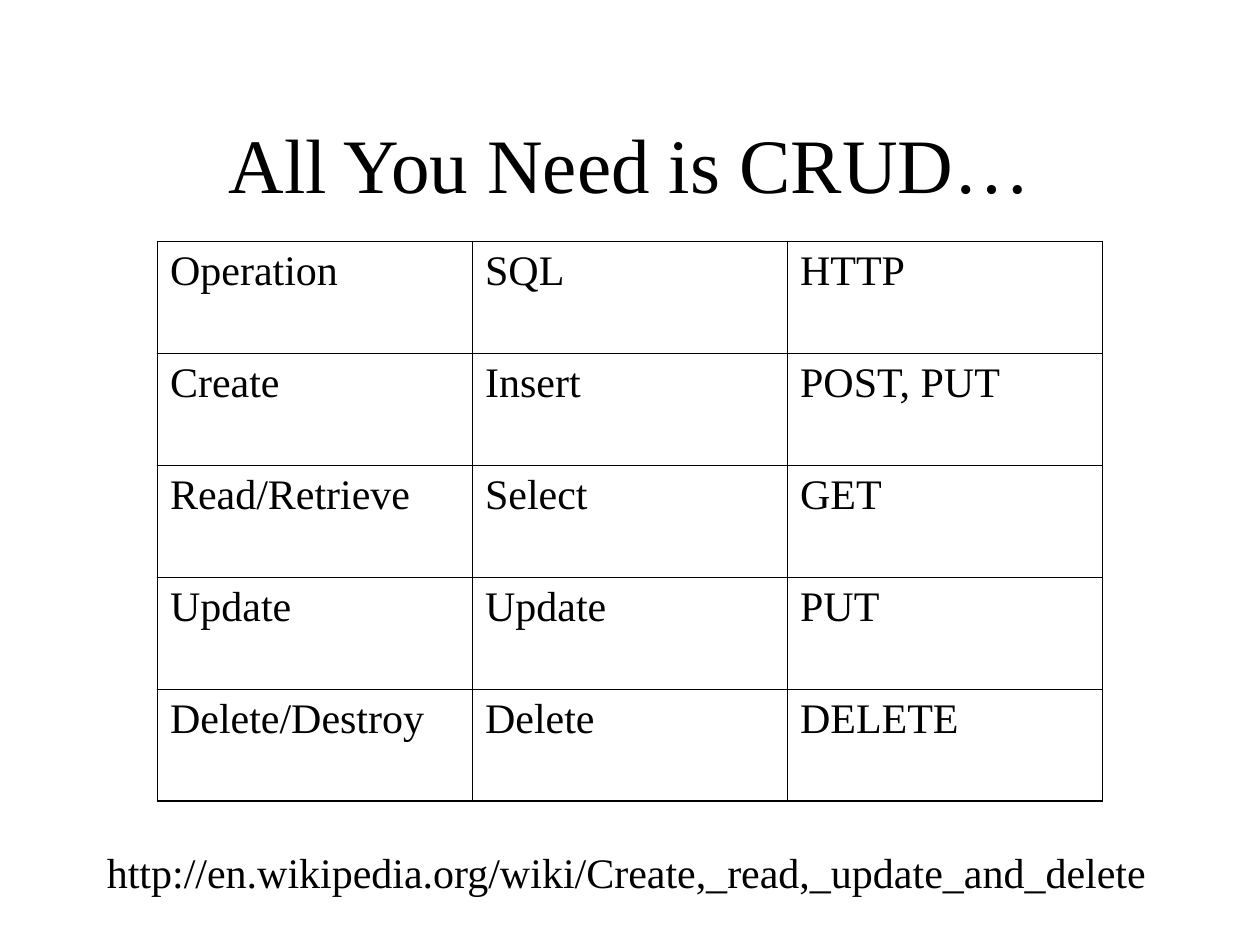
"""Build the CRUD operations slide."""
from lxml import etree
from pptx import Presentation
from pptx import util as u
from pptx.dml.color import RGBColor
from pptx.enum import text
from pptx.oxml import ns

TITLE = "All You Need is CRUD…"
ROWS = [
    ("Operation", "SQL", "HTTP"),
    ("Create", "Insert", "POST, PUT"),
    ("Read/Retrieve", "Select", "GET"),
    ("Update", "Update", "PUT"),
    ("Delete/Destroy", "Delete", "DELETE"),
]
URL = "http://en.wikipedia.org/wiki/Create,_read,_update_and_delete"

FONT = "Times New Roman"
BLACK = RGBColor(0, 0, 0)
COL_W, ROW_H = 180, 64
OUTER, INNER = 1.08, 0.45


def write(tf, words, size, align=text.PP_ALIGN.LEFT):
    tf.text = words
    p = tf.paragraphs[0]
    p.alignment = align
    f = p.runs[0].font
    f.name, f.size, f.color.rgb = FONT, u.Pt(size), BLACK


def add_border(cell, side, width):
    tc_pr = cell._tc.get_or_add_tcPr()
    ln = etree.SubElement(tc_pr, ns.qn(f"a:ln{side}"), w=str(u.Pt(width)))
    fill = etree.SubElement(ln, ns.qn("a:solidFill"))
    etree.SubElement(fill, ns.qn("a:srgbClr"), val=str(BLACK))


def add_crud_table(s):
    n_rows, n_cols = len(ROWS), len(ROWS[0])
    table = s.shapes.add_table(n_rows, n_cols, u.Pt(90), u.Pt(138),
                               u.Pt(n_cols * COL_W), u.Pt(n_rows * ROW_H)).table
    table.first_row = table.horz_banding = False
    for col in table.columns:
        col.width = u.Pt(COL_W)
    for i, row in enumerate(ROWS):
        table.rows[i].height = u.Pt(ROW_H)
        for j, words in enumerate(row):
            cell = table.cell(i, j)
            write(cell.text_frame, words, 24)
            edges = {"L": j == 0, "R": j == n_cols - 1,
                     "T": i == 0, "B": i == n_rows - 1}
            for side, is_outer in edges.items():
                add_border(cell, side, OUTER if is_outer else INNER)
            cell.fill.background()


def main():
    prs = Presentation()
    prs.slide_width, prs.slide_height = u.Pt(720), u.Pt(540)
    s = prs.slides.add_slide(prs.slide_layouts[5])

    title = s.shapes.title
    title.left, title.top = u.Pt(54), u.Pt(48)
    title.width, title.height = u.Pt(612), u.Pt(90)
    title.text_frame.vertical_anchor = text.MSO_ANCHOR.MIDDLE
    write(title.text_frame, TITLE, 44, text.PP_ALIGN.CENTER)

    add_crud_table(s)

    link = s.shapes.add_textbox(u.Pt(54), u.Pt(480), u.Pt(615), u.Pt(36))
    tf = link.text_frame
    tf.word_wrap = False
    tf.auto_size = text.MSO_AUTO_SIZE.SHAPE_TO_FIT_TEXT
    write(tf, URL, 24)

    prs.save("out.pptx")


if __name__ == "__main__":
    main()
